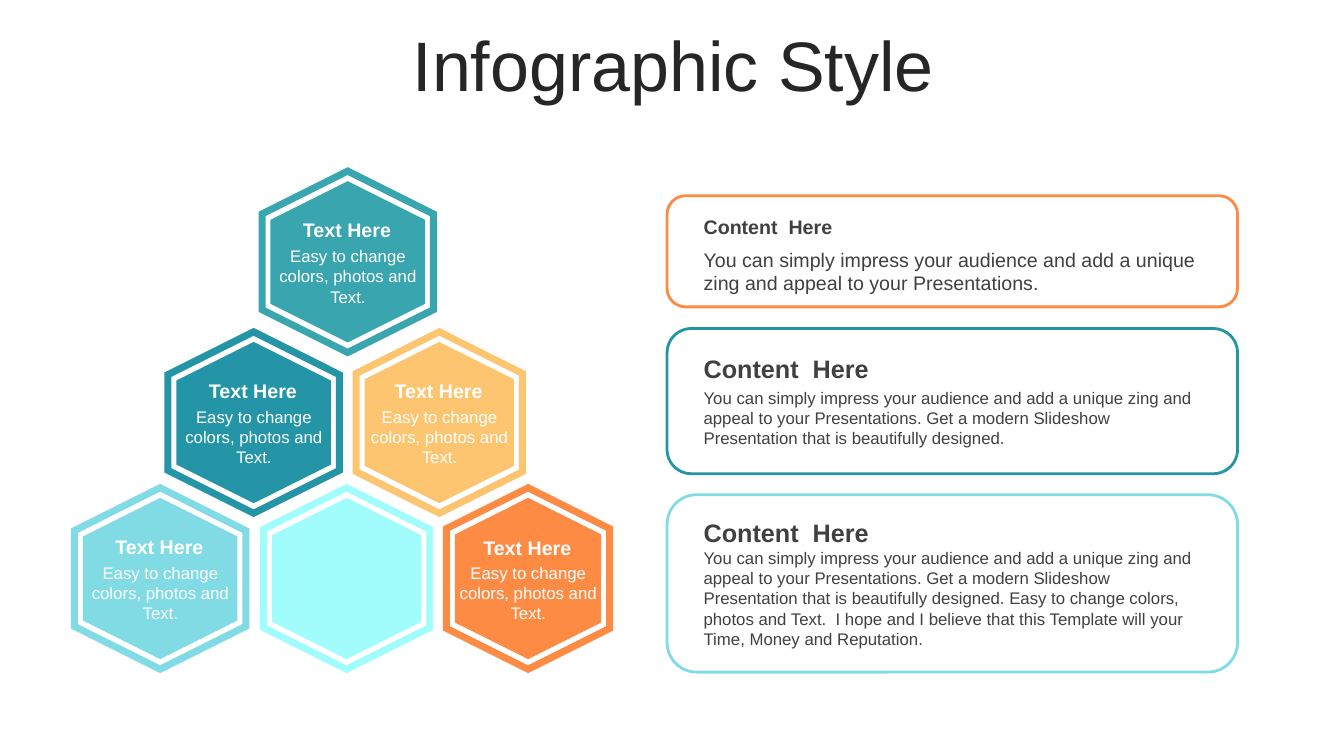
from pptx import Presentation
from pptx.dml.color import RGBColor
from pptx.enum import shapes, text
from pptx.oxml import parse_xml
from pptx.oxml.ns import nsdecls
from pptx.util import Pt

rgb = RGBColor.from_string
MSO, PP = shapes.MSO_SHAPE, text.PP_ALIGN


def add_shape(kind, x, y, w, h, fill=None, line=None, weight=0):
    """Add a preset shape that has either a fill or a sharp-cornered outline."""
    sp = s.shapes.add_shape(kind, Pt(x), Pt(y), Pt(w), Pt(h))
    sp.shadow.inherit = False
    if fill:
        sp.fill.solid()
        sp.fill.fore_color.rgb = rgb(fill)
        sp.line.fill.background()
    else:
        sp.fill.background()
        sp.line.color.rgb = rgb(line)
        sp.line.width = Pt(weight)
        sp.line._get_or_add_ln().append(parse_xml(f'<a:miter {nsdecls("a")} lim="800000"/>'))
    return sp


def add_text(words, x, y, w, h, size, color, bold=False, align=PP.LEFT):
    tf = s.shapes.add_textbox(Pt(x), Pt(y), Pt(w), Pt(h)).text_frame
    tf.word_wrap = True
    tf.auto_size = text.MSO_AUTO_SIZE.SHAPE_TO_FIT_TEXT
    p = tf.paragraphs[0]
    p.text = words
    p.alignment = align
    f = p.runs[0].font
    f.name, f.size, f.bold = "Arial", Pt(size), bold
    f.color.rgb = rgb(color)


prs = Presentation()
prs.slide_width, prs.slide_height = Pt(960), Pt(540)
s = prs.slides.add_slide(prs.slide_layouts[5])

title = s.shapes.title
title.left, title.top, title.width, title.height = Pt(25.4), Pt(22.3), Pt(911.5), Pt(56.9)
tf = title.text_frame
tf.text = "Infographic Style"
tf.auto_size = text.MSO_AUTO_SIZE.NONE
tf.vertical_anchor = text.MSO_ANCHOR.MIDDLE
p = tf.paragraphs[0]
p.alignment, p.line_spacing, p.space_before = PP.CENTER, 0.8, Pt(10)
f = p.runs[0].font
f.name, f.size = "Arial", Pt(50)
f.color.rgb = rgb("262626")

# Pyramid of hexagons: centre x, centre y, breadth, label top, colour
LENGTH, GAP, LABEL_WIDTH = 129.6, 14.4, 121.6
hexagons = [
    (377.2, 413.2, 116.6, 379.4, "FE8B44"),
    (313.8, 301.8, 118.8, 267, "FDC56F"),
    (247.6, 413.2, 118.8, None, "A0FDFB"),
    (114.4, 413.2, 122.4, 378.9, "80DBE4"),
    (181.2, 301.8, 122.4, 267, "2395A6"),
    (248.4, 187, 122.4, 152, "39A5AE"),
]
for cx, cy, breadth, label_top, color in hexagons:
    for w, h, look in (
        (LENGTH, breadth, {"line": color, "weight": 5}),
        (LENGTH - GAP, breadth - 12, {"fill": color}),
    ):
        sp = add_shape(MSO.HEXAGON, cx - w / 2, cy - h / 2, w, h, **look)
        sp.rotation = 270
    if label_top:
        left = cx - LABEL_WIDTH / 2
        add_text("Text Here", left - 0.5, label_top, LABEL_WIDTH, 23.8, 14, "FFFFFF", True, PP.CENTER)
        add_text("Easy to change colors, photos and Text.",
                 left + 0.2, cy - 14.8, LABEL_WIDTH, 49.7, 12, "FFFFFF", align=PP.CENTER)

# Content boxes: top, height, colour, heading top and size, body top, height and size, body
INTRO = "You can simply impress your audience and add a unique zing and appeal to your Presentations."
MODERN = INTRO + " Get a modern Slideshow  Presentation that is beautifully designed."
HOPE = (MODERN + " Easy to change colors, photos and Text.  I hope and I believe that this "
        "Template will your Time, Money and Reputation.")
boxes = [
    (139.8, 79.4, "FE8B44", 149.8, 14, 173.5, 41, 14, INTRO),
    (234.7, 103.7, "2395A6", 249.1, 18, 273.2, 51, 12, MODERN),
    (353.4, 126.7, "80DBE4", 365.8, 18, 387.8, 80, 12, HOPE),
]
for top, height, color, head_top, head_size, body_top, body_height, body_size, body in boxes:
    add_shape(MSO.ROUNDED_RECTANGLE, 476.5, top, 407.5, height, line=color, weight=2)
    add_text("Content  Here", 495.5, head_top, 378, 24, head_size, "404040", True)
    add_text(body, 495.5, body_top, 378, body_height, body_size, "404040")

prs.save("out.pptx")
